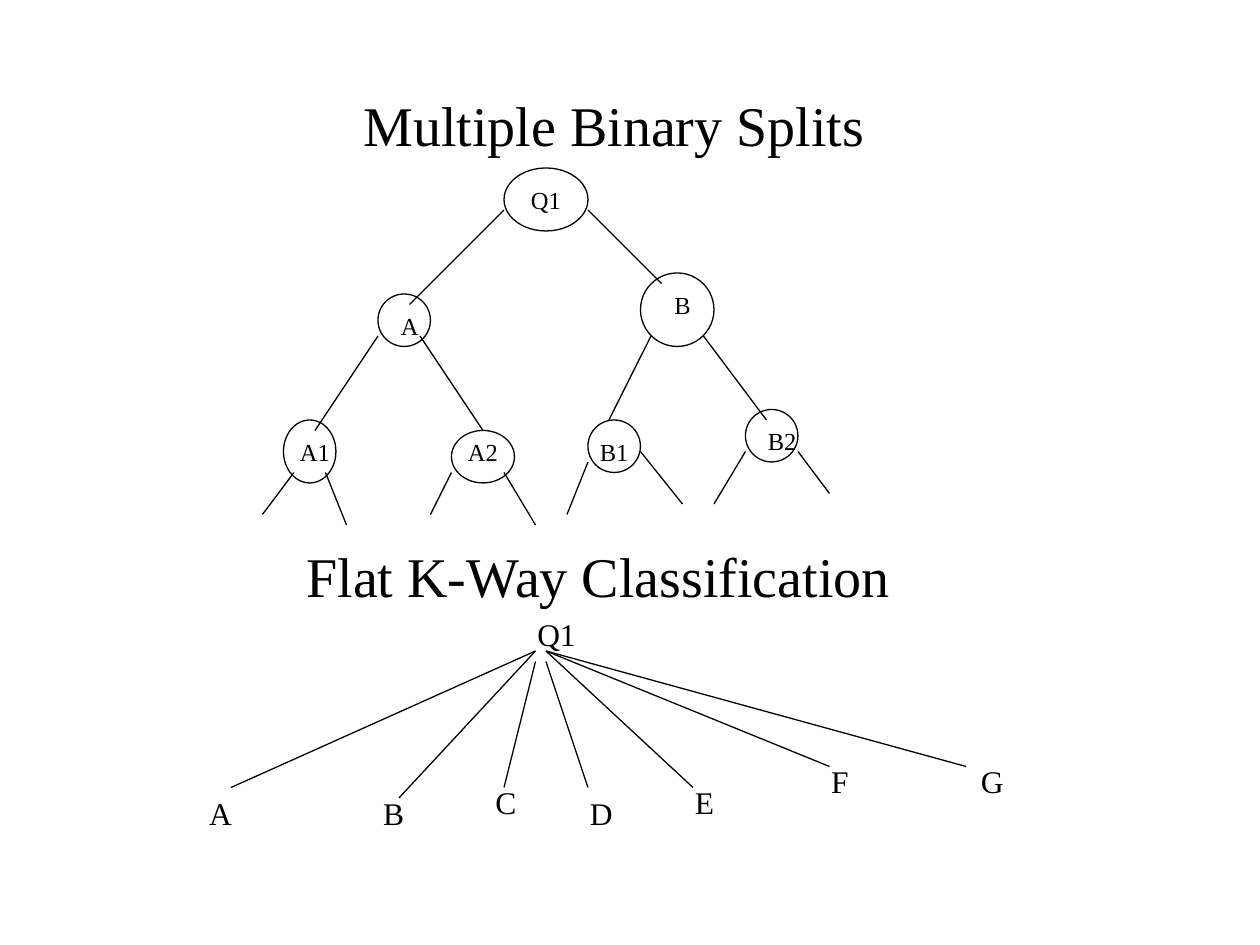
from pptx import Presentation
from pptx import util as u
from pptx.dml import color
from pptx.enum import shapes, text
from pptx.oxml import xmlchemy
from lxml import etree
from pptx.oxml import ns

INK = color.RGBColor(0, 0, 0)
THEME = {
    "line": u.Pt(0.75),
    "head": {"name": "Times New Roman", "size": u.Pt(32)},
    "node": {"name": "Times New Roman", "size": u.Pt(14)},
    "leaf": {"name": "Times New Roman", "size": u.Pt(18)},
}
TALL = {"head": 0.64, "node": 0.34, "leaf": 0.4}
FRAME = {
    "word_wrap": True,
    "auto_size": text.MSO_AUTO_SIZE.SHAPE_TO_FIT_TEXT,
    "vertical_anchor": text.MSO_ANCHOR.TOP,
    "margin_left": u.Inches(0.1),
    "margin_right": u.Inches(0.1),
    "margin_top": u.Inches(0.05),
    "margin_bottom": u.Inches(0.05),
}

CELLS = 12
TITLE = ("Multiple Binary Splits", (13, 8, 91))
SECOND = ("Flat K-Way Classification", (12, 51, 90))
ROOT = ("Q1", (49, 58, 8))

# label, oval, label box, left branch, right branch
NODES = [
    ("Q1", (48, 16, 8, 6), (49, 17, 6), (48, 20, 39, 29), (56, 20, 63, 27)),
    ("A", (36, 28, 5, 5), (37, 29, 3), (36, 32, 30, 41), (40, 32, 46, 41)),
    ("A1", (27, 40, 5, 6), (27, 41, 6), (28, 45, 25, 49), (31, 45, 33, 50)),
    ("A2", (43, 41, 6, 5), (43, 41, 6), (43, 45, 41, 49), (48, 45, 51, 50)),
    ("B", (61, 26, 7, 7), (61, 27, 8), (62, 32, 58, 40), (67, 32, 73, 40)),
    ("B1", (56, 40, 5, 5), (55, 41, 7), (56, 44, 54, 49), (61, 43, 65, 48)),
    ("B2", (71, 39, 5, 5), (71, 40, 7), (71, 43, 68, 48), (76, 43, 79, 47)),
]
LEAVES = [
    ("A", (16, 75, 10), (22, 75, 51, 62)),
    ("B", (35, 75, 5), (38, 76, 51, 62)),
    ("C", (46, 74, 4), (48, 75, 51, 63)),
    ("D", (55, 75, 4), (52, 63, 56, 75)),
    ("E", (65, 74, 4), (52, 62, 66, 75)),
    ("F", (77, 72, 6), (52, 62, 79, 73)),
    ("G", (92, 72, 5), (52, 62, 92, 73)),
]


def grid(cells):
    return [u.Inches(cell / CELLS) for cell in cells]


def style(item, values):
    for key, value in values.items():
        setattr(item, key, value)


def write(box, label, kind):
    frame = box.text_frame
    frame.text = label
    style(frame, FRAME)
    para = frame.paragraphs[0]
    para.alignment = text.PP_ALIGN.CENTER
    font = para.runs[0].font
    style(font, THEME[kind])
    font.color.rgb = INK


def label(slide, words, place, kind):
    box = slide.shapes.add_textbox(*grid(place), u.Inches(TALL[kind]))
    write(box, words, kind)


def stroke(line):
    line.color.rgb = INK
    line.width = THEME["line"]


def branch(slide, ends):
    link = slide.shapes.add_connector(shapes.MSO_CONNECTOR.STRAIGHT, *grid(ends))
    stroke(link.line)
    etree.SubElement(link._element.spPr, ns.qn("a:effectLst"))


def oval(slide, place):
    ring = slide.shapes.add_shape(shapes.MSO_SHAPE.OVAL, *grid(place))
    ring.shadow.inherit = False
    ring.fill.background()
    stroke(ring.line)


def main():
    deck = Presentation()
    style(deck, {"slide_width": u.Inches(10), "slide_height": u.Inches(7.5)})
    slide = deck.slides.add_slide(deck.slide_layouts[5])

    words, place = TITLE
    left, top, width = grid(place)
    title = slide.shapes.title
    style(title, {"left": left, "top": top, "width": width,
                  "height": u.Inches(TALL["head"])})
    write(title, words, "head")

    for node in NODES:
        for ends in node[3:]:
            branch(slide, ends)
    for node in NODES:
        oval(slide, node[1])
    for node in NODES:
        label(slide, node[0], node[2], "node")

    label(slide, *SECOND, "head")
    for leaf in LEAVES:
        branch(slide, leaf[2])
    for leaf in LEAVES:
        label(slide, *leaf[:2], "leaf")
    label(slide, *ROOT, "leaf")
    deck.save("out.pptx")


if __name__ == "__main__":
    main()
